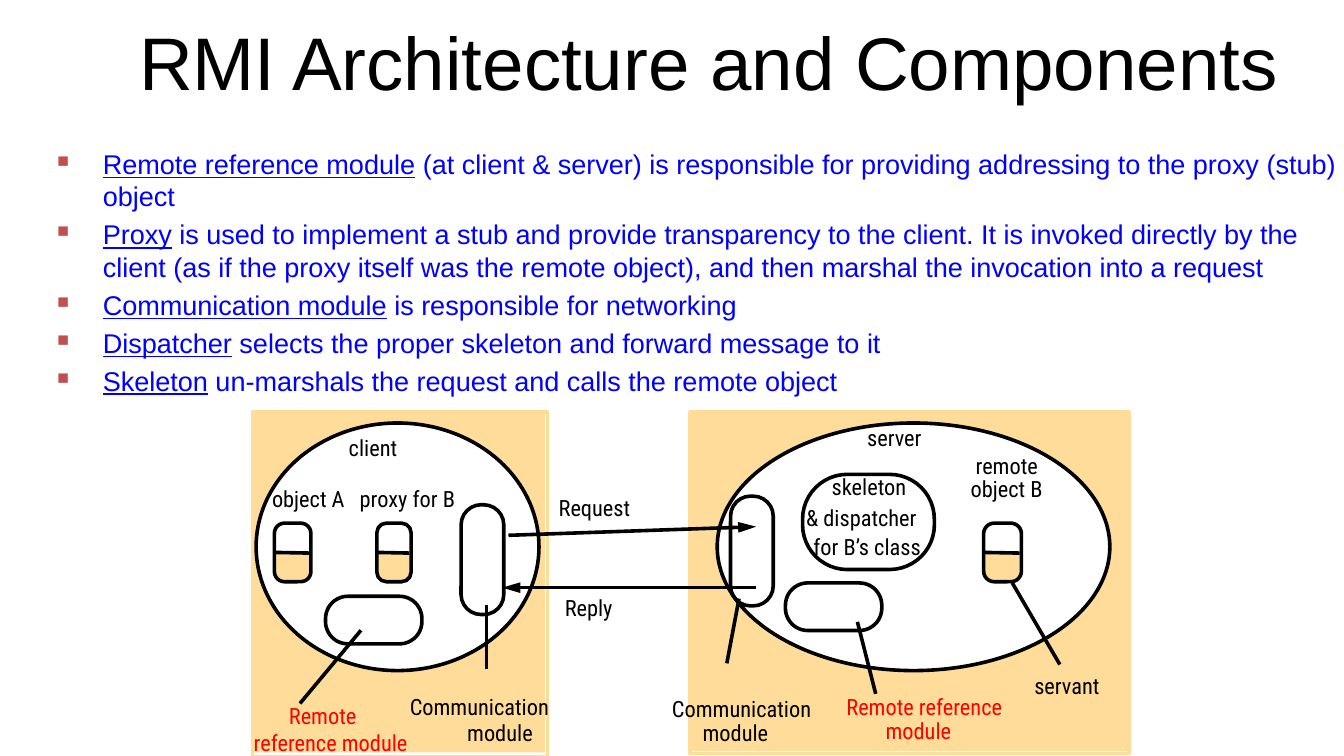
"""Build the slide on RMI architecture and its components."""
import pptx
import pptx.util
import pptx.dml.color
import pptx.enum.shapes
import pptx.enum.text
from dataclasses import dataclass
from lxml import etree

Pt = pptx.util.Pt
RGB = pptx.dml.color.RGBColor.from_string
KIND = pptx.enum.shapes.MSO_SHAPE
ANCHOR = pptx.enum.text.MSO_ANCHOR


@dataclass(frozen=True)
class Theme:
    ink: str = "000000"
    paper: str = "FFFFFF"
    host: str = "FFDC99"
    accent: str = "FF0000"
    body: str = "0000FF"
    bullet: str = "C0504D"
    title_size: float = 44
    body_size: float = 16
    label_size: float = 13.2
    stroke: float = 2.13
    sans: str = "Arial"
    condensed: str = "Roboto Condensed"


theme = Theme()
deck = pptx.Presentation()
deck.slide_width, deck.slide_height = Pt(793.44), Pt(446.4)
slide = deck.slides.add_slide(deck.slide_layouts[6])


def add_text(text, *, frame=None, paragraph=None, size=theme.label_size, font=theme.condensed,
             color=theme.ink, underline=False, wrap=False, anchor=ANCHOR.TOP):
    if paragraph is None:
        box = slide.shapes.add_textbox(*map(Pt, frame)).text_frame
        box.margin_left = box.margin_right = box.margin_top = box.margin_bottom = 0
        box.word_wrap, box.vertical_anchor = wrap, anchor
        paragraph = box.paragraphs[0]
    run = paragraph.add_run()
    run.text = text
    run.font.size, run.font.name, run.font.underline = Pt(size), font, underline
    run.font.color.rgb = RGB(color)
    return paragraph


def add_outline(kind, frame, fill=None, line=None, corner=None):
    shape = slide.shapes.add_shape(kind, *map(Pt, frame))
    shape.shadow.inherit = False
    if corner is not None:
        shape.adjustments[0] = corner
    if fill:
        shape.fill.solid()
        shape.fill.fore_color.rgb = RGB(fill)
    else:
        shape.fill.background()
    if line:
        shape.line.color.rgb, shape.line.width = RGB(line), Pt(theme.stroke)
    else:
        shape.line.fill.background()


title = add_text("RMI Architecture and Components", frame=(82.1, 2.2, 699.8, 74.2),
                 size=theme.title_size, font=theme.sans, wrap=True, anchor=ANCHOR.MIDDLE)
title.line_spacing = 0.9

for left, width, height, border_height in ((149, 172.8, 200.9, 203.8), (407.5, 257.8, 200.2, 201.6)):
    add_outline(KIND.RECTANGLE, (left, 243.4, width, height), fill=theme.host)
    add_outline(KIND.RECTANGLE, (left, 243.4, width + 1.4, border_height), line=theme.host)

for left, width in ((423.4, 231.8), (151.2, 167)):
    add_outline(KIND.OVAL, (left, 249.8, width, 146.2), fill=theme.paper, line=theme.ink)

communication_modules = [(272.2, 298.1, 25.2, 64.8), (431.3, 293, 25.2, 64.8)]
reference_modules = [(192.2, 352.1, 56.9, 28.1), (463.7, 344.2, 56.9, 28.1)]
skeleton = (473.8, 280.1, 77.8, 56.2)
for module in (*communication_modules, *reference_modules, skeleton):
    add_outline(KIND.ROUNDED_RECTANGLE, module, line=theme.ink, corner=0.47)

links = []
for left, width in ((162, 21.6), (222.5, 20.2), (580.7, 22.3)):
    add_outline(KIND.ROUNDED_RECTANGLE, (left, 308.9, width, 34.6), fill=theme.host, corner=0.28)
    add_outline(KIND.RECTANGLE, (left, 308.9, width, 18), fill=theme.paper)
    add_outline(KIND.ROUNDED_RECTANGLE, (left, 308.9, width, 34.6), line=theme.ink, corner=0.28)
    links.append((left, 326.2, left + width - 1, 326.6, False))

links += [
    (300.2, 316.1, 446.4, 311, True),
    (446.4, 347, 296.6, 347, True),
    (429.1, 391.7, 436.3, 353.5, False),
    (287.3, 395.3, 287.3, 357.1, False),
    (177.1, 415.4, 213.1, 372.2, False),
    (517, 409.7, 506.2, 367.2, False),
    (625.7, 392.4, 597.6, 344.2, False),
]
for x1, y1, x2, y2, is_message in links:
    link = slide.shapes.add_connector(pptx.enum.shapes.MSO_CONNECTOR.STRAIGHT, *map(Pt, (x1, y1, x2, y2)))
    link.line.color.rgb, link.line.width = RGB(theme.ink), Pt(theme.stroke)
    if is_message:
        etree.SubElement(link.line._get_or_add_ln(), pptx.oxml.ns.qn("a:tailEnd"),
                         type="triangle", w="med", len="lg")
    etree.SubElement(link._element.spPr, pptx.oxml.ns.qn("a:effectLst"))

labels = [
    ("client", 205.9, 256.3, 31), ("server", 511.9, 250.6, 37.4),
    ("object A", 160.6, 286.6, 47.5), ("proxy for B", 212.4, 286.6, 64.8),
    ("remote", 576, 267.1, 41.8), ("object B", 573.1, 280.8, 48.2),
    ("skeleton", 491, 279.4, 49.7), ("& dispatcher", 475.9, 297.4, 74.2),
    ("for B’s class", 480.2, 314.6, 72), ("Request", 329.8, 291.6, 49.7),
    ("Reply", 333.4, 350.6, 34.6), ("servant", 610.6, 396.7, 43.9),
    ("Communication", 241.9, 409, 92.9), ("module", 275.8, 424.8, 44.6),
    ("Communication", 396.7, 410.4, 92.9), ("module", 414.8, 424.8, 44.6),
]
reference_labels = [
    ("Remote", 170.6, 414.7, 50.4), ("reference module", 149.8, 430.6, 103.7),
    ("Remote reference", 499.7, 409, 106.6), ("module", 522.8, 423.4, 44.6),
]
for color, group in ((theme.ink, labels), (theme.accent, reference_labels)):
    for wording, left, top, width in group:
        add_text(wording, frame=(left, top, width, 15.8), color=color)

components = [
    ("Remote reference module", " (at client & server) is responsible for providing addressing to the proxy (stub) object"),
    ("Proxy", " is used to implement a stub and provide transparency to the client. It is invoked directly by the "
              "client (as if the proxy itself was the remote object), and then marshal the invocation into a request"),
    ("Communication module", " is responsible for networking"),
    ("Dispatcher", " selects the proper skeleton and forward message to it"),
    ("Skeleton", " un-marshals the request and calls the remote object"),
]
roles = slide.shapes.add_textbox(Pt(26.6), Pt(83.5), Pt(769.7), Pt(133.9)).text_frame
roles.word_wrap = True
for index, (component, role) in enumerate(components):
    entry = roles.add_paragraph() if index else roles.paragraphs[0]
    entry.space_before = Pt(3.2)
    for wording, underline in ((component, True), (role, False)):
        add_text(wording, paragraph=entry, size=theme.body_size, font=theme.sans,
                 color=theme.body, underline=underline)
    layout = entry._p.get_or_add_pPr()
    layout.set("marL", str(Pt(27)))
    layout.set("indent", str(-Pt(27)))
    bullet_color = etree.SubElement(layout, pptx.oxml.ns.qn("a:buClr"))
    etree.SubElement(bullet_color, pptx.oxml.ns.qn("a:srgbClr"), val=theme.bullet)
    etree.SubElement(layout, pptx.oxml.ns.qn("a:buSzPct"), val="60000")
    etree.SubElement(layout, pptx.oxml.ns.qn("a:buChar"), char="■")

deck.save("out.pptx")
